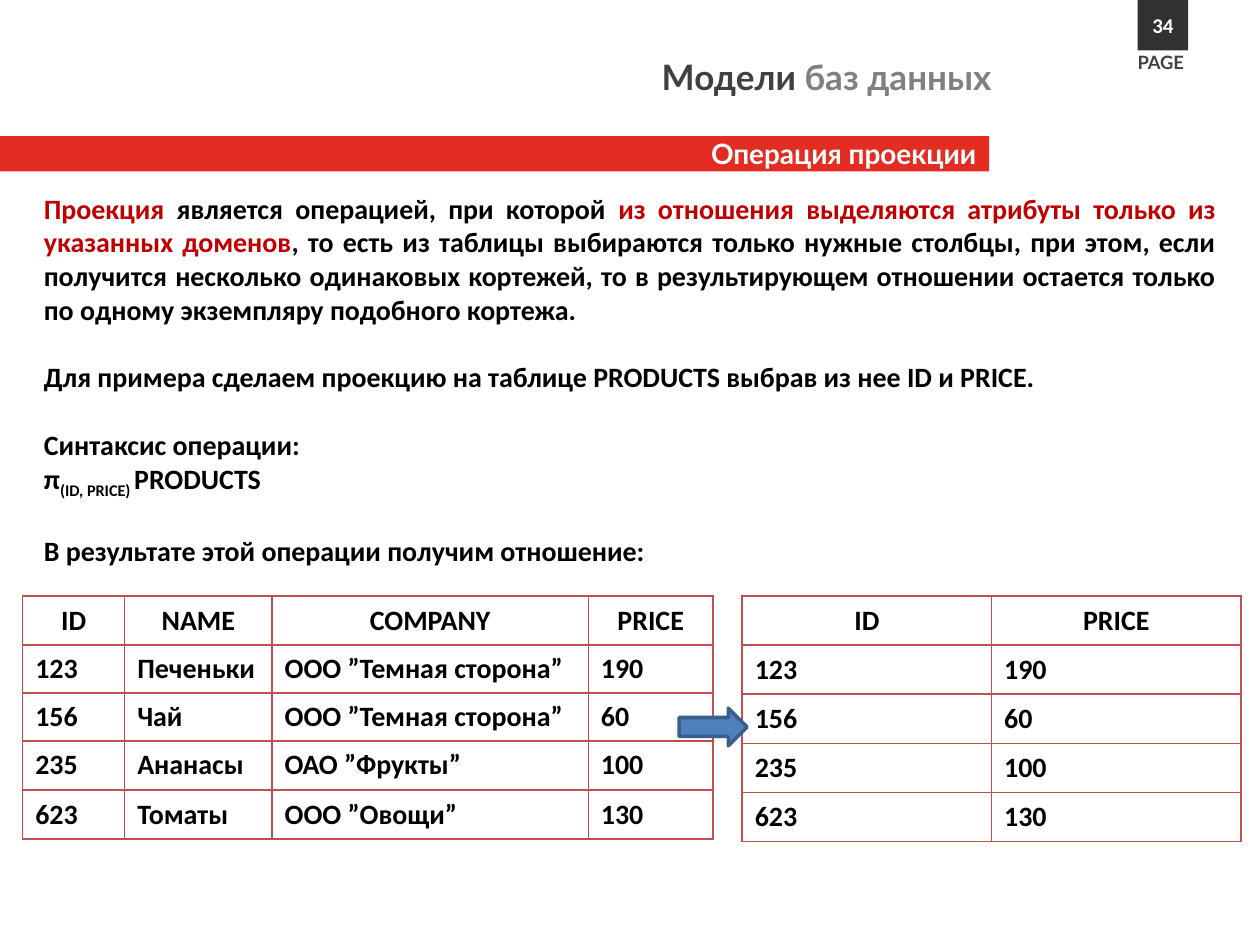
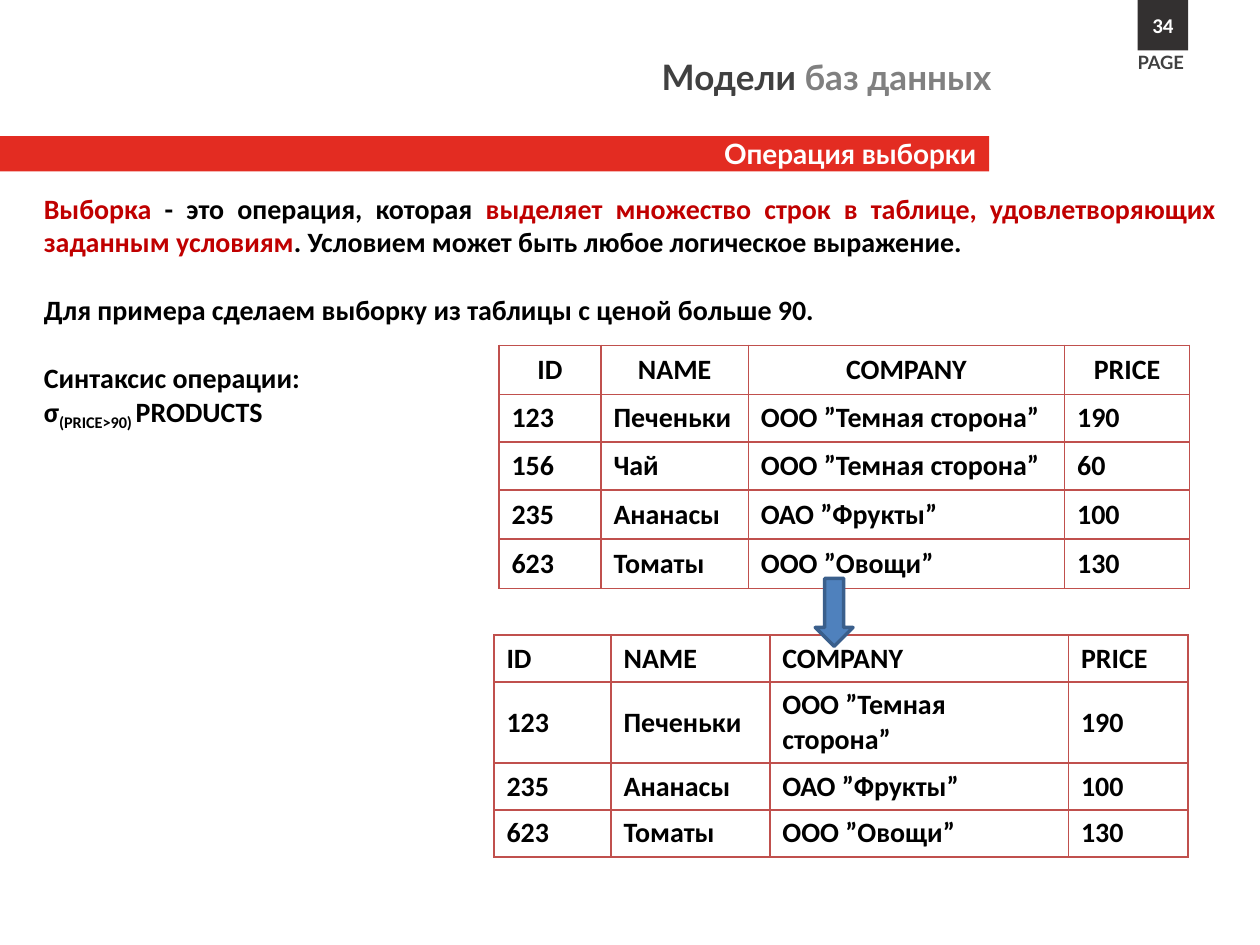
from pptx import Presentation
from pptx.dml.color import RGBColor
from pptx.enum.shapes import MSO_SHAPE as Shape
from pptx.enum.text import MSO_ANCHOR as Anchor, MSO_AUTO_SIZE as AutoSize, PP_ALIGN as Align
from pptx.oxml import parse_xml
from pptx.oxml.ns import nsdecls
from pptx.util import Inches, Pt

WHITE, BLACK, RED = "FFFFFF", "000000", "C00000"
BAND, BADGE, DARK, GREY = "E32C22", "333030", "404040", "808080"
GRID, ARROW, ARROW_EDGE = "C0504D", "4F81BD", "3A5F8C"

TITLE = {"name": "Lato", "size": Pt(20), "bold": True}
SUBTITLE = {"name": "Lato", "size": Pt(16), "bold": True}
CAPTION = {"name": "Lato", "size": Pt(10.5), "bold": True}
NUMBER = {"name": "Calibri", "size": Pt(12), "bold": True}
BODY = {"name": "Calibri", "size": Pt(16), "bold": True}
BLANK_LINE = Pt(19.5)

HEADER = ("ID", "NAME", "COMPANY", "PRICE")
PRODUCTS = [
    ("123", "Печеньки", "ООО ”Темная сторона”", "190"),
    ("156", "Чай", "ООО ”Темная сторона”", "60"),
    ("235", "Ананасы", "ОАО ”Фрукты”", "100"),
    ("623", "Томаты", "ООО ”Овощи”", "130"),
]
PRODUCT_WIDTHS = (0.81, 1.17, 2.51, 0.99)
PRODUCT_HEIGHTS = (0.39, 0.38, 0.38, 0.39, 0.39)


def rgb(value):
    return RGBColor.from_string(value)


def inches(box):
    return [Inches(length) for length in box]


def place(shape, box):
    shape.left, shape.top, shape.width, shape.height = inches(box)


def set_all(target, values):
    for name, value in values.items():
        setattr(target, name, value)


def write(para, spans, style, align=Align.LEFT, before=0):
    """Fill a paragraph with (text, colour[, baseline]) spans."""
    set_all(para, {"alignment": align, "space_before": before})
    for text, colour, *baseline in spans:
        span = para.add_run()
        span.text = text
        set_all(span.font, style)
        span.font.color.rgb = rgb(colour)
        if baseline:
            span._r.get_or_add_rPr().set("baseline", str(baseline[0]))


def set_frame(shape, anchor=Anchor.TOP, wrap=True):
    frame = shape.text_frame
    set_all(frame, {"word_wrap": wrap, "auto_size": AutoSize.NONE, "vertical_anchor": anchor})
    return frame


def add_filled(page, kind, box, fill, edge=None):
    shape = page.shapes.add_shape(kind, *inches(box))
    shape.shadow.inherit = False
    shape.fill.solid()
    shape.fill.fore_color.rgb = rgb(fill)
    if edge:
        shape.line.color.rgb = rgb(edge)
        shape.line.width = Pt(2)
    else:
        shape.line.fill.background()
    return shape


def add_heading(page, subtitle):
    title, band = page.shapes.title, page.placeholders[1]
    place(title, (0.15, 0.39, 7.82, 0.44))
    write(set_frame(title).paragraphs[0],
          [("Модели ", DARK), ("баз данных", GREY)], TITLE, Align.RIGHT)

    place(band, (0, 1.08, 7.85, 0.28))
    band.fill.solid()
    band.fill.fore_color.rgb = rgb(BAND)
    write(set_frame(band, Anchor.MIDDLE).paragraphs[0],
          [(subtitle, WHITE)], SUBTITLE, Align.RIGHT)


def add_page_badge(page, number):
    badge = add_filled(page, Shape.RECTANGLE, (9.03, 0, 0.4, 0.4), BADGE)
    frame = set_frame(badge, Anchor.MIDDLE)
    frame.margin_left = frame.margin_right = 0
    write(frame.paragraphs[0], [(number, WHITE)], NUMBER, Align.CENTER)

    caption = page.shapes.add_textbox(*inches((8.93, 0.36, 0.59, 0.28)))
    write(set_frame(caption, wrap=False).paragraphs[0], [("PAGE", DARK)], CAPTION)


def add_explanation(page, height, paragraphs):
    """Write justified (spans, gap before) paragraphs under the band."""
    box = page.shapes.add_textbox(*inches((0.25, 1.47, 9.5, height)))
    frame = set_frame(box)
    for index, (spans, gap) in enumerate(paragraphs):
        para = frame.add_paragraph() if index else frame.paragraphs[0]
        write(para, spans, BODY, Align.JUSTIFY, gap)


def syntax(operator, condition):
    """Paragraphs that show an operator with its subscript."""
    return [
        ([("Синтаксис операции:", BLACK)], BLANK_LINE),
        ([(operator, BLACK), (condition + " ", BLACK, -25000), ("PRODUCTS", BLACK)], 0),
    ]


def outline_cell(cell):
    properties = cell._tc.get_or_add_tcPr()
    for side in ("lnL", "lnR", "lnT", "lnB"):
        properties.append(parse_xml(
            f'<a:{side} {nsdecls("a")} w="12700"><a:solidFill>'
            f'<a:srgbClr val="{GRID}"/></a:solidFill></a:{side}>'))
    cell.fill.background()


def add_relation(page, left, top, widths, heights, rows, header_align=Align.CENTER):
    box = inches((left, top, sum(widths), sum(heights)))
    table = page.shapes.add_table(len(rows), len(widths), *box).table
    set_all(table, {"first_row": False, "horz_banding": False})
    for column, width in zip(table.columns, widths):
        column.width = Inches(width)
    for index, (line, height, values) in enumerate(zip(table.rows, heights, rows)):
        line.height = Inches(height)
        for cell, value in zip(line.cells, values):
            outline_cell(cell)
            cell.vertical_anchor = Anchor.MIDDLE
            write(cell.text_frame.paragraphs[0], [(value, BLACK)], BODY,
                  Align.LEFT if index else header_align)


def add_products(page, left, top):
    add_relation(page, left, top, PRODUCT_WIDTHS, PRODUCT_HEIGHTS, [HEADER, *PRODUCTS])


def add_arrow(page, left, top, rotation=0):
    arrow = add_filled(page, Shape.RIGHT_ARROW, (left, top, 0.54, 0.3), ARROW, ARROW_EDGE)
    arrow.rotation = rotation


def add_page(deck, subtitle):
    page = deck.slides.add_slide(deck.slide_layouts[0])
    add_heading(page, subtitle)
    add_page_badge(page, "34")
    return page


def build_projection(deck):
    page = add_page(deck, "Операция проекции")
    add_explanation(page, 3.06, [
        ([("Проекция", RED),
          (" является операцией, при которой ", BLACK),
          ("из отношения выделяются атрибуты только из указанных доменов", RED),
          (", то есть из таблицы выбираются только нужные столбцы, при этом, если "
           "получится несколько одинаковых кортежей, то в результирующем отношении "
           "остается только по одному экземпляру подобного кортежа.", BLACK)], 0),
        ([("Для примера сделаем проекцию на таблице PRODUCTS выбрав из нее ID и PRICE.",
           BLACK)], BLANK_LINE),
        *syntax("π", "(ID, PRICE)"),
        ([("В результате этой операции получим отношение:", BLACK)], BLANK_LINE),
    ])
    projected = [(row[0], row[3]) for row in [HEADER, *PRODUCTS]]
    add_relation(page, 5.89, 4.73, (1.98, 1.98), (0.39,) * 5, projected)
    add_products(page, 0.18, 4.73)
    add_arrow(page, 5.39, 5.62)


def build_selection(deck):
    page = add_page(deck, "Операция выборки")
    add_explanation(page, 1.99, [
        ([("Выборка ", RED),
          ("- это операция, которая ", BLACK),
          ("выделяет множество строк в таблице, удовлетворяющих заданным условиям", RED),
          (". Условием может быть любое логическое выражение.", BLACK)], 0),
        ([("Для примера сделаем выборку из таблицы с ценой больше 90.", BLACK)], BLANK_LINE),
        *syntax("σ", "(PRICE>90)"),
    ])
    selected = [row for row in PRODUCTS if int(row[3]) > 90]
    add_relation(page, 3.92, 5.04, (0.93, 1.26, 2.37, 0.95), (0.37, 0.63, 0.37, 0.37),
                 [HEADER, *selected], Align.LEFT)
    add_products(page, 3.96, 2.74)
    add_arrow(page, 6.35, 4.71, rotation=90)


def main():
    deck = Presentation()
    deck.slide_width, deck.slide_height = Inches(10), Inches(7.5)
    build_projection(deck)
    build_selection(deck)
    deck.save("out.pptx")


if __name__ == "__main__":
    main()
